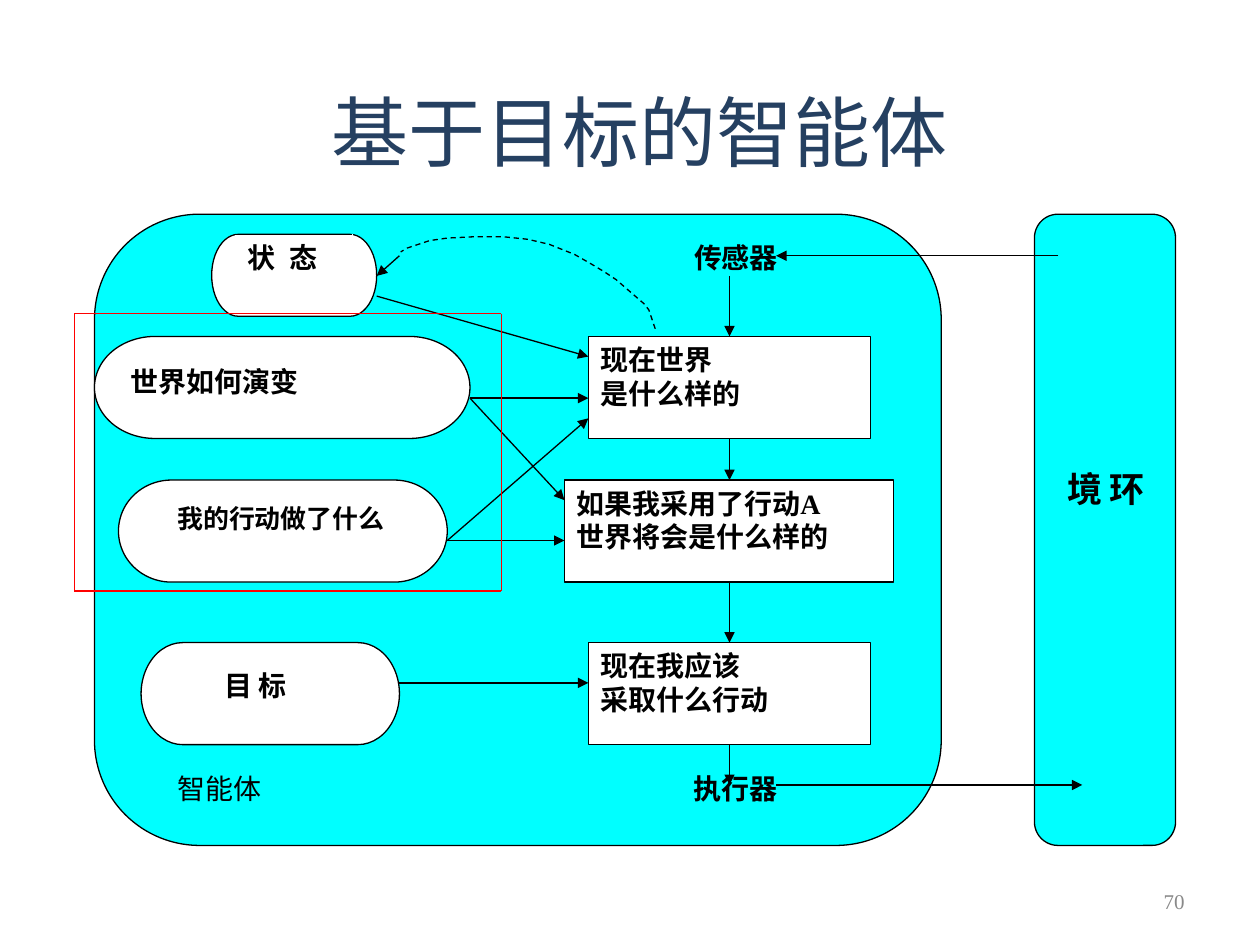
from lxml.etree import SubElement
from pptx import Presentation
from pptx.dml.color import RGBColor
from pptx.enum.dml import MSO_LINE
from pptx.enum.shapes import MSO_CONNECTOR, MSO_SHAPE
from pptx.enum.text import MSO_ANCHOR, PP_ALIGN
from pptx.oxml.ns import qn
from pptx.util import Inches, Pt

COLORS = {
    "panel": "00FFFF", "white": "FFFFFF", "black": "000000",
    "frame": "FF0000", "title": "254061", "number": "898989",
}
COLORS = {name: RGBColor.from_string(value) for name, value in COLORS.items()}
SERIF, SANS = "Times New Roman", "Noto Sans CJK SC"


def write_text(shape, text, alignment, **font_values):
    shape.text_frame.text = text
    for paragraph in shape.text_frame.paragraphs:
        paragraph.alignment = alignment
        for run in paragraph.runs:
            run.font.color.rgb = font_values["color"]
            for name in ("size", "name", "bold"):
                setattr(run.font, name, font_values[name])
            SubElement(run.font._element, qn("a:ea")).set("typeface", SANS)


def add_line(start, end, color="black", arrow=False):
    connector = slide.shapes.add_connector(
        MSO_CONNECTOR.STRAIGHT, *[Inches(value) for value in (*start, *end)])
    connector.line.color.rgb = COLORS[color]
    connector.line.width = Pt(0.75)
    if arrow:
        SubElement(connector.line._get_or_add_ln(), qn("a:tailEnd")).set("type", "triangle")
    SubElement(connector._element.spPr, qn("a:effectLst"))


presentation = Presentation()
presentation.slide_width, presentation.slide_height = Inches(10), Inches(7.5)
slide = presentation.slides.add_slide(presentation.slide_layouts[5])

title = slide.shapes.title
title_box = {"left": 0.83, "top": 0.6, "width": 8.5, "height": 0.87}
for name, value in title_box.items():
    setattr(title, name, Inches(value))
title.text_frame.vertical_anchor = MSO_ANCHOR.MIDDLE
write_text(title, "基于目标的智能体", PP_ALIGN.CENTER,
           size=Pt(44), name=SANS, color=COLORS["title"], bold=False)

number = slide.shapes.add_textbox(Inches(7.17), Inches(6.95), Inches(2.33), Inches(0.4))
number.text_frame.word_wrap = True
number.text_frame.vertical_anchor = MSO_ANCHOR.MIDDLE
write_text(number, "70", PP_ALIGN.RIGHT,
           size=Pt(12), name=SERIF, color=COLORS["number"], bold=False)

ROUND, RECT = MSO_SHAPE.ROUNDED_RECTANGLE, MSO_SHAPE.RECTANGLE
PILL = MSO_SHAPE.FLOWCHART_TERMINATOR
blocks = [
    (ROUND, (0.75, 1.7, 6.72, 5.01), "panel", "black", ""),
    (ROUND, (8.21, 1.7, 1.12, 5.01), "panel", "black", ""),
    (RECT, (8.4, 3.64, 0.75, 0.81), "panel", "panel", "环 境"),
    (RECT, (5.41, 1.86, 1.12, 0.48), "panel", "panel", "传感器"),
    (RECT, (4.67, 2.67, 2.24, 0.81), "white", "black", "现在世界\n是什么样的"),
    (RECT, (4.48, 3.81, 2.61, 0.81), "white", "black", "如果我采用了行动A\n世界将会是什么样的"),
    (RECT, (4.67, 5.1, 2.24, 0.81), "white", "black", "现在我应该\n采取什么行动"),
    (RECT, (5.41, 6.07, 0.93, 0.48), "panel", "panel", "执行器"),
    (PILL, (1.12, 5.1, 2.05, 0.81), "white", "black", ""),
    (PILL, (1.68, 1.86, 1.31, 0.65), "white", "black", ""),
    (RECT, (1.87, 1.86, 0.93, 0.48), "white", "white", "状 态"),
    (PILL, (0.75, 2.67, 2.98, 0.81), "white", "black", ""),
    (PILL, (0.94, 3.81, 2.61, 0.81), "white", "black", ""),
    (RECT, (1.31, 3.97, 1.86, 0.49), "white", "white", "我的行动做了什么"),
    (RECT, (0.94, 2.84, 2.42, 0.49), "white", "white", "世界如何演变"),
    (RECT, (1.68, 5.26, 0.93, 0.49), "white", "white", "目 标"),
    (RECT, (1.31, 6.07, 0.93, 0.48), "panel", "panel", "智能体"),
]
text_sizes = {"环 境": 20, "我的行动做了什么": 14.8}
labels = {}
for kind, box, fill, line, text in blocks:
    shape = slide.shapes.add_shape(kind, *[Inches(value) for value in box])
    shape.shadow.inherit = False
    shape.fill.solid()
    shape.fill.fore_color.rgb = COLORS[fill]
    shape.line.color.rgb = COLORS[line]
    shape.line.width = Pt(0.75)
    if text:
        shape.text_frame.vertical_anchor = MSO_ANCHOR.TOP
        write_text(shape, text, PP_ALIGN.JUSTIFY, size=Pt(text_sizes.get(text, 16)),
                   name=SERIF, color=COLORS["black"], bold=text != "智能体")
        labels[text] = shape.text_frame

labels["我的行动做了什么"].paragraphs[0].line_spacing = 0.9
labels["状 态"].paragraphs[0].runs[0].font._element.set("spc", "200")
environment = labels["环 境"]
environment._txBody.bodyPr.set("vert", "eaVert")
margins = {"margin_left": 0.05, "margin_top": 0.1, "margin_right": 0.05, "margin_bottom": 0.1}
for name, value in margins.items():
    setattr(environment, name, Inches(value))

arrows = [
    ((8.4, 2.03), (6.16, 2.03)),
    ((5.79, 2.19), (5.79, 2.67)),
    ((5.79, 3.48), (5.79, 3.81)),
    ((5.79, 4.61), (5.79, 5.1)),
    ((5.79, 5.91), (5.79, 6.23)),
    ((6.16, 6.23), (8.59, 6.23)),
    ((2.99, 2.35), (4.67, 2.83)),
    ((3.73, 3.16), (4.67, 3.16)),
    ((3.55, 4.29), (4.48, 4.29)),
    ((3.55, 4.29), (4.67, 3.32)),
    ((3.73, 3.16), (4.48, 3.97)),
    ((3.17, 5.42), (4.67, 5.42)),
    ((3.17, 2.03), (2.99, 2.19)),
]
for start, end in arrows:
    add_line(start, end, arrow=True)

feedback_points = [
    (5.2, 2.61), (5.15, 2.46), (5.11, 2.41), (4.89, 2.22), (4.8, 2.16), (4.7, 2.1),
    (4.56, 2.02), (4.36, 1.94), (4.19, 1.9), (4, 1.88), (3.75, 1.88), (3.55, 1.89),
    (3.41, 1.91), (3.23, 1.97), (3.18, 2),
]
feedback_points = [(Inches(x), Inches(y)) for x, y in feedback_points]
builder = slide.shapes.build_freeform(*feedback_points[0])
builder.add_line_segments(feedback_points[1:], close=False)
feedback = builder.convert_to_shape()
feedback.shadow.inherit = False
feedback.fill.background()
feedback.line.color.rgb = COLORS["black"]
feedback.line.width = Pt(0.75)
feedback.line.dash_style = MSO_LINE.DASH

add_line((1.86, 1.86), (2.79, 1.86))
add_line((1.49, 5.91), (2.8, 5.91))

left, top, right, bottom = 0.59, 2.49, 3.98, 4.69
for y in (top, bottom):
    add_line((left, y), (right, y), "frame")
for x in (left, right):
    add_line((x, top), (x, bottom), "frame")

presentation.save("out.pptx")
